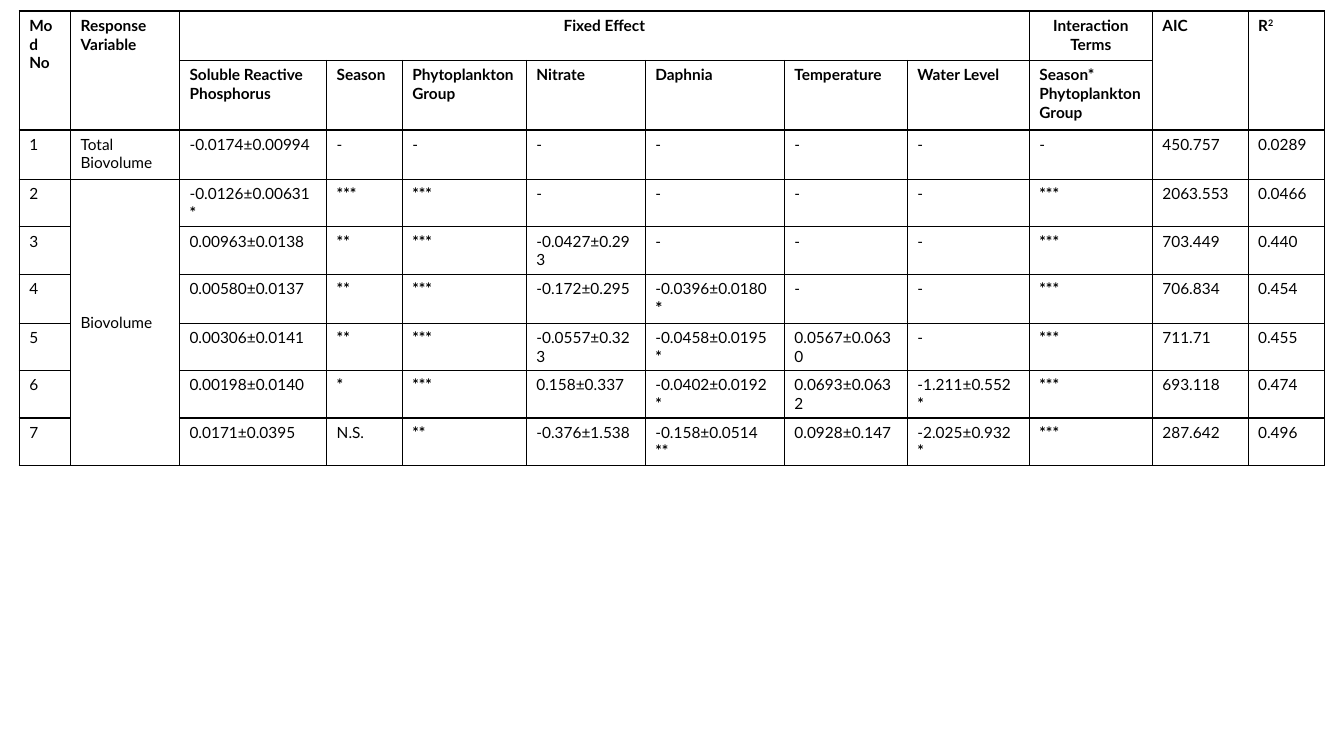
from pptx import Presentation, util as u
from pptx.dml.color import RGBColor
from pptx.enum import text
from pptx.oxml import parse_xml
from pptx.oxml.ns import nsdecls

FONT, INK, PAPER = "Lato", "000000", "FFFFFF"
LEFT, TOP = 0.19, 0.11
WIDTHS = [0.51, 1.08, 1.46, 0.75, 1.23, 1.18, 1.38, 1.22, 1.21, 1.22, 0.95, 0.76]
HEIGHTS = [0.49, 0.69, 0.49] + [0.38] * 6
HEADS = [
    ["Mod No", "Response Variable", "Fixed Effect", "", "", "", "", "", "",
     "Interaction Terms", "AIC", "R"],
    ["", "", "Soluble Reactive Phosphorus", "Season", "Phytoplankton Group", "Nitrate",
     "Daphnia", "Temperature", "Water Level", "Season* Phytoplankton Group", "", ""],
]
MODELS = [
    ["1", "Total Biovolume", "-0.0174±0.00994", "-", "-", "-", "-", "-", "-", "-",
     "450.757", "0.0289"],
    ["2", "Biovolume", "-0.0126±0.00631 *", "***", "***", "-", "-", "-", "-", "***",
     "2063.553", "0.0466"],
    ["3", "", "0.00963±0.0138", "**", "***", "-0.0427±0.293", "-", "-", "-", "***",
     "703.449", "0.440"],
    ["4", "", "0.00580±0.0137", "**", "***", "-0.172±0.295", "-0.0396±0.0180 *", "-", "-",
     "***", "706.834", "0.454"],
    ["5", "", "0.00306±0.0141", "**", "***", "-0.0557±0.323", "-0.0458±0.0195 *",
     "0.0567±0.0630", "-", "***", "711.71", "0.455"],
    ["6", "", "0.00198±0.0140", "*", "***", "0.158±0.337", "-0.0402±0.0192 *",
     "0.0693±0.0632", "-1.211±0.552 *", "***", "693.118", "0.474"],
    ["7", "", "0.0171±0.0395", "N.S.", "**", "-0.376±1.538", "-0.158±0.0514 **",
     "0.0928±0.147", "-2.025±0.932 *", "***", "287.642", "0.496"],
]
SPANS = [((0, 0), (1, 0)), ((0, 1), (1, 1)), ((0, 2), (0, 8)),
         ((0, 10), (1, 10)), ((0, 11), (1, 11)), ((3, 1), (8, 1))]
CENTRED = ["Fixed Effect", "Interaction Terms"]
LARGE = (5, 6)


def color(code):
    return RGBColor.from_string(code)


def add_run(para, words, bold, size=11):
    run = para.add_run()
    run.text = words
    font = run.font
    font.name, font.size, font.bold = FONT, u.Pt(size), bold
    font.color.rgb = color(INK)
    return run


def frame(cell):
    props = cell._tc.get_or_add_tcPr()
    for side in "LRTB":
        props.append(parse_xml(
            f'<a:ln{side} {nsdecls("a")} w="12700"><a:solidFill>'
            f'<a:srgbClr val="{INK}"/></a:solidFill></a:ln{side}>'))
    cell.fill.solid()
    cell.fill.fore_color.rgb = color(PAPER)


def write(cell, words, head, star_size):
    para = cell.text_frame.paragraphs[0]
    if head:
        add_run(para, words, True)
        if words in CENTRED:
            para.alignment = text.PP_ALIGN.CENTER
        return
    value = words.rstrip("*")
    stars = words[len(value):]
    if value:
        add_run(para, value, False)
    if stars:
        add_run(para, stars, True, star_size)


def main():
    deck = Presentation()
    deck.slide_width, deck.slide_height = u.Inches(13.33), u.Inches(7.5)
    slide = deck.slides.add_slide(deck.slide_layouts[6])
    rows = HEADS + MODELS
    table = slide.shapes.add_table(
        len(rows), len(WIDTHS), u.Inches(LEFT), u.Inches(TOP),
        u.Inches(sum(WIDTHS)), u.Inches(sum(HEIGHTS))).table
    table.first_row = table.horz_banding = False
    for col, width in zip(table.columns, WIDTHS):
        col.width = u.Inches(width)
    for row, height in zip(table.rows, HEIGHTS):
        row.height = u.Inches(height)
    for i, row in enumerate(rows):
        for j, words in enumerate(row):
            cell = table.cell(i, j)
            frame(cell)
            if words:
                write(cell, words, i < len(HEADS), 12 if (i, j) == LARGE else 11)
    for start, end in SPANS:
        table.cell(*start).merge(table.cell(*end))
    table.cell(3, 1).vertical_anchor = text.MSO_ANCHOR.MIDDLE
    power = add_run(table.cell(0, 11).text_frame.paragraphs[0], "2", True)
    power._r.get_or_add_rPr().set("baseline", "30000")
    deck.save("out.pptx")


if __name__ == "__main__":
    main()
